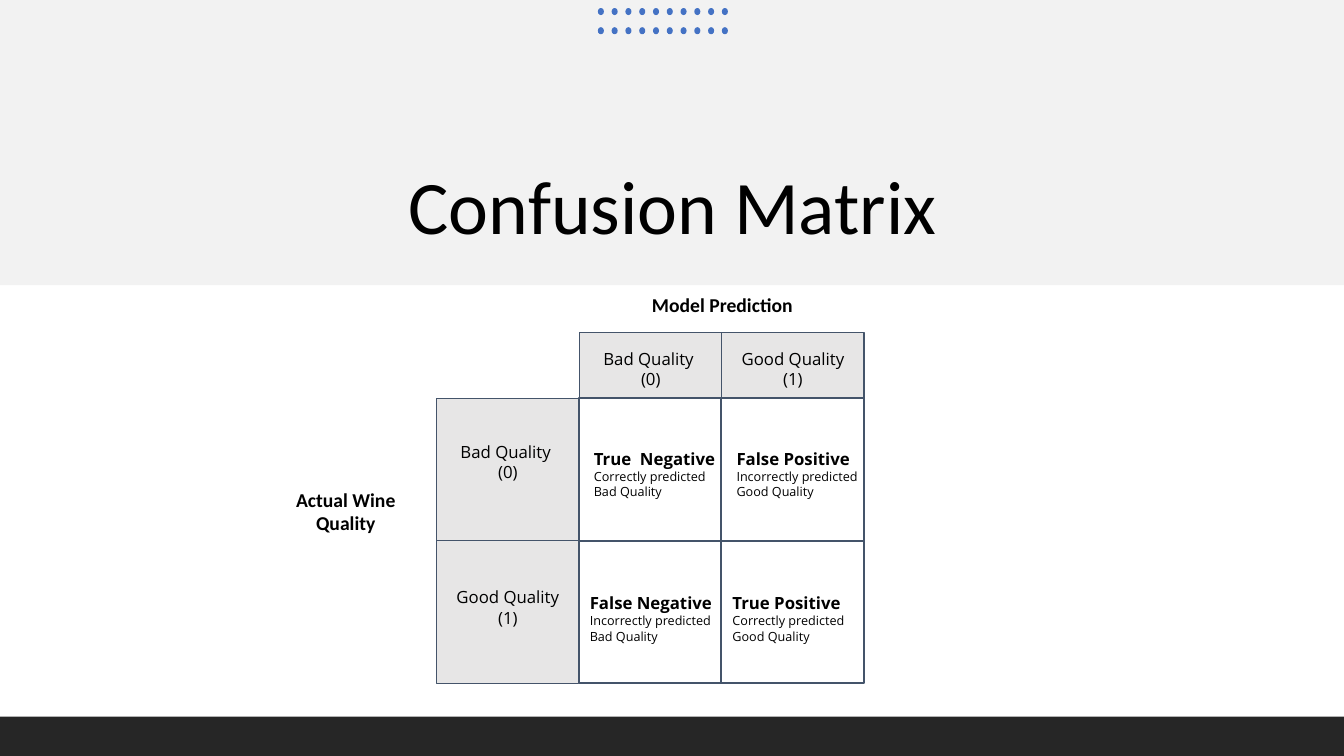
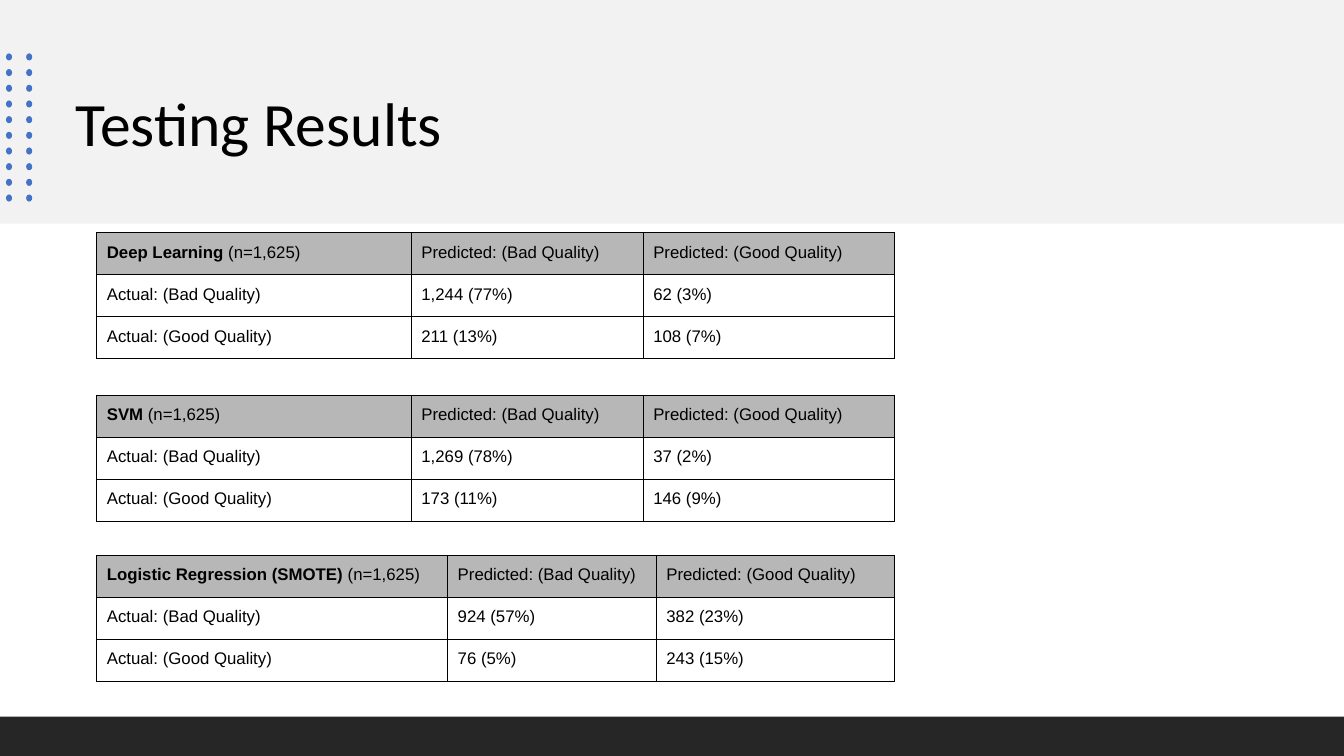
from dataclasses import dataclass

import pptx
import pptx.dml.color
import pptx.enum.shapes
import pptx.enum.text
import pptx.oxml.ns
import pptx.util
from lxml import etree

Inches = pptx.util.Inches
Pt = pptx.util.Pt
qn = pptx.oxml.ns.qn
SHAPE = pptx.enum.shapes.MSO_SHAPE
ALIGN = pptx.enum.text.PP_ALIGN
ANCHOR = pptx.enum.text.MSO_ANCHOR


@dataclass(frozen=True)
class Theme:
    band: str = "F2F2F2"
    footer: str = "262626"
    dot: str = "4472C4"
    ink: str = "000000"
    label_fill: str = "E7E6E6"
    quadrant_fill: str = "FFFFFF"
    outline: str = "44546A"
    table_header: str = "B7B7B7"
    heading_font: str = "Calibri"
    matrix_font: str = "Open Sans"
    table_font: str = "Arial"
    cover_title: int = 54
    title: int = 44
    axis: int = 14
    body: int = 12
    detail: int = 9
    label_line: float = 0.75
    quadrant_line: float = 1.5


@dataclass(frozen=True)
class Run:
    text: str
    size: int = Theme.body
    bold: bool = False


THEME = Theme()
SLIDE_WIDTH, SLIDE_HEIGHT = 13.33, 7.5
FOOTER_TOP = 7.11
DOT_WIDTH, DOT_HEIGHT = 0.06, 0.07

MATRIX_LEFT, MATRIX_TOP, MATRIX_SIZE = 5.74, 3.95, 2.83
CELL = MATRIX_SIZE / 2
HEADER_LEFT, HEADER_TOP, HEADER_WIDTH, HEADER_HEIGHT = 5.75, 3.3, 1.41, 0.66
ROW_LABEL_LEFT = 4.33
CLASS_LABELS = (("Bad Quality ", "(0)"), ("Good Quality (1)",))
LABEL_INSETS = (0.43, 0.46)
# Each row: left inset, top inset, then (outcome, verdict, predicted class).
QUADRANT_ROWS = (
    (0.15, 0.5, (("True  Negative", "Correctly predicted", "Bad Quality"),
                 ("False Positive", "Incorrectly predicted", "Good Quality"))),
    (0.11, 0.52, (("False Negative", "Incorrectly predicted", "Bad Quality"),
                  ("True Positive", "Correctly predicted", "Good Quality"))),
)

TABLE_LEFT, TABLE_HEIGHT = 0.96, 1.25
# Each model: table top, name, sample size, column widths, counts per class.
RESULTS = (
    (2.31, "Deep Learning", " (n=1,625)", (3.12, 2.3, 2.49),
     (("1,244 (77%)", "62 (3%)"), ("211 (13%)", "108 (7%)"))),
    (3.92, "SVM", " (n=1,625)", (3.12, 2.3, 2.49),
     (("1,269 (78%)", "37 (2%)"), ("173 (11%)", "146 (9%)"))),
    (5.51, "Logistic Regression (SMOTE) ", "(n=1,625)", (3.48, 2.07, 2.36),
     (("924 (57%)", "382 (23%)"), ("76 (5%)", "243 (15%)"))),
)


def rgb(value):
    return pptx.dml.color.RGBColor.from_string(value)


def write(frame, paragraphs, font, align=ALIGN.LEFT, spacing=None, after=None):
    """Fill a text frame; each paragraph is a sequence of Run."""
    for index, runs in enumerate(paragraphs):
        paragraph = frame.paragraphs[0] if index == 0 else frame.add_paragraph()
        paragraph.alignment = align
        if spacing:
            paragraph.line_spacing = spacing
        if after:
            paragraph.space_after = Pt(after)
        for part in runs:
            run = paragraph.add_run()
            run.text = part.text
            run.font.name = font
            run.font.size = Pt(part.size)
            run.font.bold = part.bold
            run.font.color.rgb = rgb(THEME.ink)


def set_frame(frame, insets, anchor=ANCHOR.TOP):
    """Wrap the text and set the insets: left, top, right, bottom."""
    frame.word_wrap = True
    frame.vertical_anchor = anchor
    (frame.margin_left, frame.margin_top,
     frame.margin_right, frame.margin_bottom) = map(Inches, insets)


def add_filled(shapes, kind, box, fill, line_width=None):
    shape = shapes.add_shape(kind, *map(Inches, box))
    shape.shadow.inherit = False
    shape.fill.solid()
    shape.fill.fore_color.rgb = rgb(fill)
    if line_width:
        shape.line.color.rgb = rgb(THEME.outline)
        shape.line.width = Pt(line_width)
    else:
        shape.line.fill.background()
    return shape


def add_title(slide, text, box, size, align, anchor):
    frame = slide.shapes.add_textbox(*map(Inches, box)).text_frame
    set_frame(frame, (0.1, 0.05, 0.1, 0.05), anchor)
    write(frame, [[Run(text, size)]], THEME.heading_font, align, spacing=0.9)


def add_axis_label(slide, text, box):
    frame = slide.shapes.add_textbox(*map(Inches, box)).text_frame
    set_frame(frame, (0.1, 0.1, 0.1, 0.1))
    write(frame, [[Run(text, THEME.axis, True)]], THEME.heading_font,
          ALIGN.CENTER, spacing=0.95, after=12)


def add_dots(slide, left, top, columns, rows, width, height):
    """Spread a grid of dots; width and height run from first to last dot."""
    dots = slide.shapes.add_group_shape().shapes
    for column in range(columns):
        for row in range(rows):
            x = left + column * width / (columns - 1)
            y = top + row * height / (rows - 1)
            add_filled(dots, SHAPE.OVAL, (x, y, DOT_WIDTH, DOT_HEIGHT), THEME.dot)


def add_base_slide(deck, band_height):
    slide = deck.slides.add_slide(deck.slide_layouts[6])
    for top, height, fill in (
            (0, band_height, THEME.band),
            (FOOTER_TOP, SLIDE_HEIGHT - FOOTER_TOP, THEME.footer)):
        add_filled(slide.shapes, SHAPE.RECTANGLE,
                   (0, top, SLIDE_WIDTH, height), fill)
    return slide


def add_class_label(slide, lines, box, top_inset):
    label = add_filled(slide.shapes, SHAPE.RECTANGLE, box,
                       THEME.label_fill, THEME.label_line)
    set_frame(label.text_frame, (0.1, top_inset, 0.1, 0))
    write(label.text_frame, [[Run(line)] for line in lines],
          THEME.matrix_font, ALIGN.CENTER)


def add_quadrant(slide, outcome, details, box, left_inset, top_inset):
    quadrant = add_filled(slide.shapes, SHAPE.RECTANGLE, box,
                          THEME.quadrant_fill, THEME.quadrant_line)
    set_frame(quadrant.text_frame, (left_inset, top_inset, 0, 0))
    paragraphs = [[Run(outcome, bold=True)]]
    paragraphs += [[Run(detail, THEME.detail)] for detail in details]
    write(quadrant.text_frame, paragraphs, THEME.matrix_font)


def add_matrix(slide):
    for index, lines in enumerate(CLASS_LABELS):
        add_class_label(slide, lines,
                        (HEADER_LEFT + index * HEADER_WIDTH, HEADER_TOP,
                         HEADER_WIDTH, HEADER_HEIGHT), 0.16)
        add_class_label(slide, lines,
                        (ROW_LABEL_LEFT, MATRIX_TOP + index * CELL,
                         CELL, CELL), LABEL_INSETS[index])
    for row, (left_inset, top_inset, quadrants) in enumerate(QUADRANT_ROWS):
        for column, (outcome, *details) in enumerate(quadrants):
            box = (MATRIX_LEFT + column * CELL, MATRIX_TOP + row * CELL,
                   CELL, CELL)
            add_quadrant(slide, outcome, details, box, left_inset, top_inset)


def set_borders(cell):
    properties = cell._tc.get_or_add_tcPr()
    for side in ("lnL", "lnR", "lnT", "lnB"):
        line = etree.SubElement(properties, qn(f"a:{side}"),
                                w=str(Pt(THEME.label_line)))
        fill = etree.SubElement(line, qn("a:solidFill"))
        etree.SubElement(fill, qn("a:srgbClr"), val=THEME.ink)


def add_results_table(slide, top, model, sample, widths, counts):
    rows = [
        [[Run(model, bold=True), Run(sample)],
         [Run("Predicted: (Bad Quality)")], [Run("Predicted: (Good Quality)")]],
    ]
    for actual, values in zip(("Bad", "Good"), counts):
        rows.append([[Run(f"Actual: ({actual} Quality)")],
                     *([Run(value)] for value in values)])

    table = slide.shapes.add_table(
        len(rows), len(widths), Inches(TABLE_LEFT), Inches(top),
        Inches(sum(widths)), Inches(TABLE_HEIGHT)).table
    table.first_row = table.horz_banding = False
    for column, width in zip(table.columns, widths):
        column.width = Inches(width)
    for row_index, row in enumerate(rows):
        table.rows[row_index].height = Inches(TABLE_HEIGHT / len(rows))
        for column_index, runs in enumerate(row):
            cell = table.cell(row_index, column_index)
            cell.margin_left = cell.margin_right = Inches(0.1)
            cell.margin_top = cell.margin_bottom = Inches(0.1)
            set_borders(cell)
            if row_index == 0:
                cell.fill.solid()
                cell.fill.fore_color.rgb = rgb(THEME.table_header)
            else:
                cell.fill.background()
            write(cell.text_frame, [runs], THEME.table_font)


def build_confusion_matrix(deck):
    slide = add_base_slide(deck, band_height=2.83)
    add_title(slide, "Confusion Matrix", (1.98, 0.58, 9.38, 1.96),
              THEME.cover_title, ALIGN.CENTER, ANCHOR.BOTTOM)
    add_dots(slide, 5.93, 0.08, columns=10, rows=2, width=1.23, height=0.19)
    add_axis_label(slide, "Model Prediction", (5.75, 2.82, MATRIX_SIZE, 0.31))
    add_axis_label(slide, "Actual Wine Quality", (2.66, 4.76, 1.54, 1.11))
    add_matrix(slide)


def build_testing_results(deck):
    slide = add_base_slide(deck, band_height=2.22)
    add_title(slide, "Testing Results", (0.65, 0.37, 12.03, 1.77),
              THEME.title, ALIGN.LEFT, ANCHOR.MIDDLE)
    add_dots(slide, 0.06, 0.53, columns=2, rows=10, width=0.2, height=1.4)
    for result in RESULTS:
        add_results_table(slide, *result)


def main():
    deck = pptx.Presentation()
    deck.slide_width = Inches(SLIDE_WIDTH)
    deck.slide_height = Inches(SLIDE_HEIGHT)
    build_confusion_matrix(deck)
    build_testing_results(deck)
    deck.save("out.pptx")


if __name__ == "__main__":
    main()
